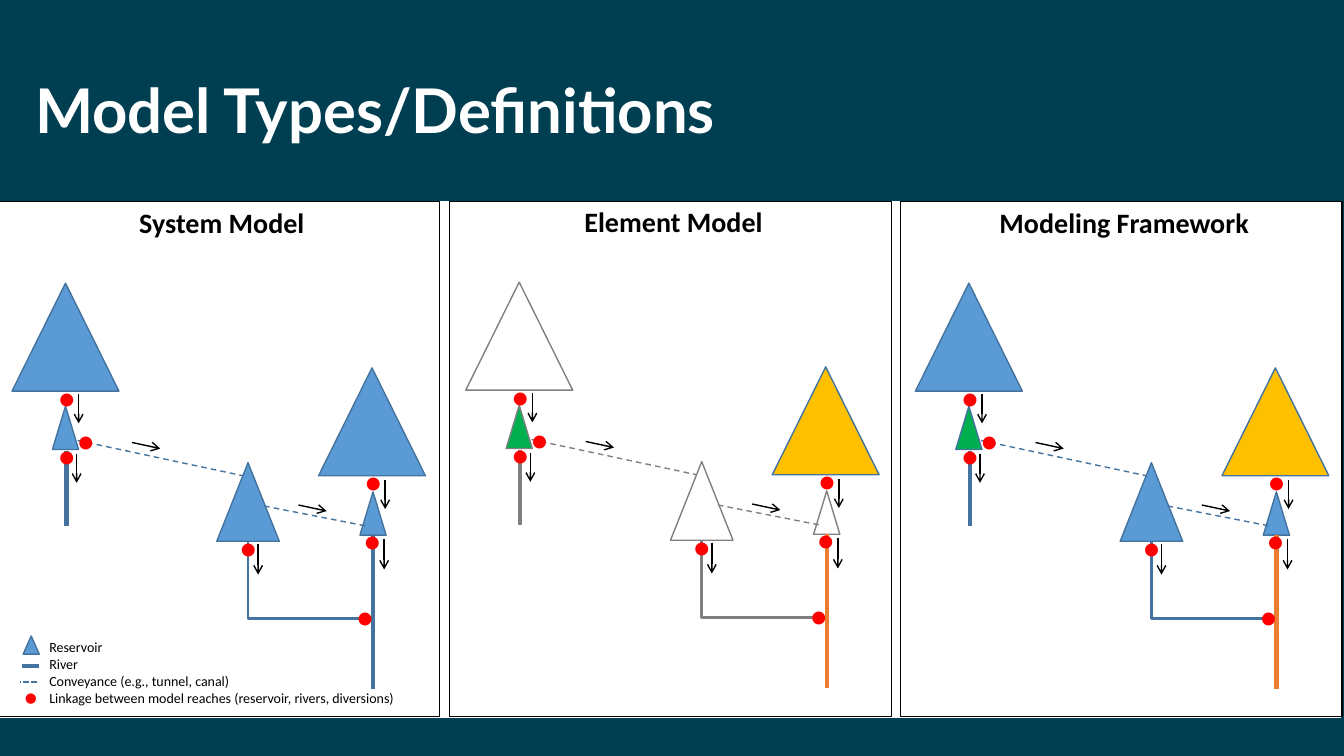
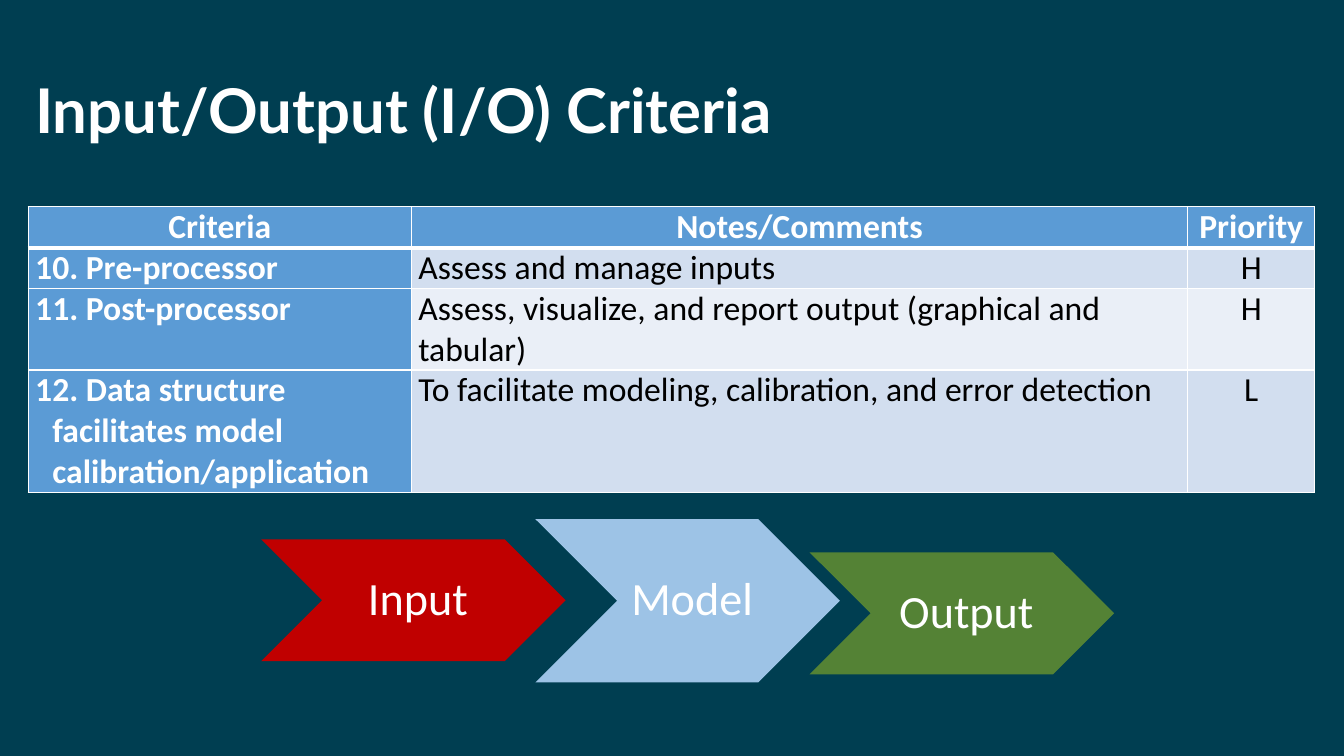
"""Build two slides on model types and input/output criteria."""
from lxml.etree import SubElement
from pptx import Presentation
from pptx.dml.color import RGBColor
from pptx.enum.dml import MSO_LINE
from pptx.enum.shapes import MSO_CONNECTOR, MSO_SHAPE
from pptx.enum.text import MSO_ANCHOR, PP_ALIGN
from pptx.oxml.ns import qn
from pptx.util import Inches, Pt

TEAL = RGBColor(0x00, 0x3E, 0x51)
WHITE = RGBColor(0xFF, 0xFF, 0xFF)
BLACK = RGBColor(0x00, 0x00, 0x00)
BLUE = RGBColor(0x5B, 0x9B, 0xD5)
DARK_BLUE = RGBColor(0x43, 0x73, 0x9E)
GRAY = RGBColor(0x80, 0x80, 0x80)
GREEN = RGBColor(0x00, 0xB0, 0x50)
GOLD = RGBColor(0xFF, 0xC0, 0x00)
ORANGE = RGBColor(0xED, 0x7D, 0x31)
RED = RGBColor(0xFF, 0x00, 0x00)
DARK_RED = RGBColor(0xC0, 0x00, 0x00)
PALE_BLUE = RGBColor(0x9D, 0xC3, 0xE6)
OLIVE = RGBColor(0x54, 0x82, 0x35)
BAND_DARK = RGBColor(0xD2, 0xDE, 0xEF)
BAND_LIGHT = RGBColor(0xEA, 0xEF, 0xF7)


def write(frame, text, size, color=BLACK, bold=False, font="Calibri",
          align=PP_ALIGN.LEFT, anchor=MSO_ANCHOR.TOP, wrap=False, spacing=None, hanging=0):
    frame.word_wrap = wrap
    frame.vertical_anchor = anchor
    frame.text = text
    for paragraph in frame.paragraphs:
        paragraph.alignment = align
        if spacing:
            paragraph.line_spacing = spacing
        if hanging:
            properties = paragraph._p.get_or_add_pPr()
            properties.set("marL", str(Inches(hanging)))
            properties.set("indent", str(-Inches(hanging)))
        paragraph.font.name = font
        paragraph.font.size = Pt(size)
        paragraph.font.bold = bold
        paragraph.font.color.rgb = color


def draw_line(shapes, x1, y1, x2, y2, color=BLACK, width=1, dash=None, arrow=False):
    connector = shapes.add_connector(
        MSO_CONNECTOR.STRAIGHT, Inches(x1), Inches(y1), Inches(x2), Inches(y2))
    connector.line.color.rgb = color
    connector.line.width = Pt(width)
    if dash:
        connector.line.dash_style = dash
    properties = connector._element.spPr
    if arrow:
        SubElement(properties.find(qn("a:ln")), qn("a:tailEnd"), type="arrow")
    SubElement(properties, qn("a:effectLst"))


prs = Presentation()
prs.slide_width, prs.slide_height = Inches(13.33), Inches(7.5)
slides = []
for heading in ["Model Types/Definitions", "Input/Output (I/O) Criteria"]:
    slide = prs.slides.add_slide(prs.slide_layouts[6])
    slide.background.fill.solid()
    slide.background.fill.fore_color.rgb = TEAL
    title = slide.shapes.add_textbox(Inches(0.25), Inches(0.4), Inches(12.8), Inches(1.45))
    write(title.text_frame, heading, 44, WHITE, bold=True, font="Lato",
          anchor=MSO_ANCHOR.MIDDLE, wrap=True, spacing=0.9)
    slides.append(slide)

shapes = slides[0].shapes
backdrop = shapes.add_shape(MSO_SHAPE.RECTANGLE, 0, Inches(2), Inches(13.3), Inches(5.12))
backdrop.shadow.inherit = False
backdrop.fill.solid()
backdrop.fill.fore_color.rgb = WHITE
backdrop.line.color.rgb = WHITE

RESERVOIRS = [(0.12, 2.81, 1.06, 1.07), (0.52, 4.03, 0.26, 0.43), (2.15, 4.59, 0.62, 0.78),
              (3.16, 3.65, 1.06, 1.07), (3.57, 4.88, 0.26, 0.43)]
CONVEYANCES = [(0.77, 4.37, 2.41, 4.72), (2.62, 5.02, 3.64, 5.22)]
FLOWS = [(0.78, 3.91, 0.78, 4.2), (0.76, 4.5, 0.76, 4.79), (3.82, 4.76, 3.82, 5.05),
         (3.81, 5.35, 3.81, 5.65), (2.56, 5.4, 2.56, 5.7), (1.31, 4.39, 1.59, 4.45),
         (2.96, 5.01, 3.24, 5.07)]
LINKAGES = [(3.52, 4.56), (0.48, 3.73), (0.48, 4.3), (0.67, 4.15),
            (2.28, 5.21), (3.51, 5.14), (3.44, 5.9)]
PANELS = [
    ("System Model", -0.02, 0, 0, [BLUE] * 5, DARK_BLUE, DARK_BLUE),
    ("Element Model", 4.46, 4.5, -0.01, [None, GREEN, None, GOLD, None], GRAY, ORANGE),
    ("Modeling Framework", 8.93, 8.96, 0, [BLUE, GREEN, BLUE, GOLD, BLUE], DARK_BLUE, ORANGE),
]
for name, left, dx, dy, fills, outline, main_river in PANELS:
    for (x, y, width, height), fill in zip(RESERVOIRS, fills):
        reservoir = shapes.add_shape(MSO_SHAPE.ISOSCELES_TRIANGLE, Inches(x + dx), Inches(y + dy),
                                     Inches(width), Inches(height))
        reservoir.shadow.inherit = False
        if fill is None:
            reservoir.fill.background()
        else:
            reservoir.fill.solid()
            reservoir.fill.fore_color.rgb = fill
        reservoir.line.color.rgb = DARK_BLUE if fill == GOLD else outline
        reservoir.line.width = Pt(1)

    draw_line(shapes, 0.66 + dx, 4.47 + dy, 0.66 + dx, 5.22 + dy, outline, 3)
    builder = shapes.build_freeform(Inches(2.46 + dx), Inches(5.37 + dy))
    builder.add_line_segments([(Inches(x + dx), Inches(6.14 + dy)) for x in (2.46, 3.7)],
                              close=False)
    tributary = builder.convert_to_shape()
    tributary.shadow.inherit = False
    tributary.fill.background()
    tributary.line.color.rgb = outline
    tributary.line.width = Pt(2)
    draw_line(shapes, 3.7 + dx, 5.31 + dy, 3.7 + dx, 6.84 + dy, main_river, 3)

    for x1, y1, x2, y2 in CONVEYANCES:
        draw_line(shapes, x1 + dx, y1 + dy, x2 + dx, y2 + dy, outline, dash=MSO_LINE.DASH)
    for x1, y1, x2, y2 in FLOWS:
        draw_line(shapes, x1 + dx, y1 + dy, x2 + dx, y2 + dy, arrow=True)

    caption = shapes.add_textbox(Inches(left + 0.03), Inches(1.99 + dy), Inches(4.38), Inches(0.44))
    write(caption.text_frame, name, 20, bold=True, align=PP_ALIGN.CENTER)
    border = shapes.add_shape(MSO_SHAPE.RECTANGLE, Inches(left), Inches(2),
                              Inches(4.38), Inches(5.11))
    border.shadow.inherit = False
    border.fill.background()
    border.line.color.rgb = BLACK
    border.line.width = Pt(1)
    for x, y in LINKAGES:
        linkage = shapes.add_textbox(Inches(x + dx), Inches(y + dy), Inches(0.37), Inches(0.44))
        write(linkage.text_frame, "●", 20, RED)

legend_dot = shapes.add_textbox(Inches(0.14), Inches(6.73), Inches(0.34), Inches(0.37))
write(legend_dot.text_frame, "●", 16, RED)
legend = shapes.add_textbox(Inches(0.39), Inches(6.29), Inches(3.69), Inches(0.77))
write(legend.text_frame, "\n".join([
    "Reservoir", "River", "Conveyance (e.g., tunnel, canal)",
    "Linkage between model reaches (reservoir, rivers, diversions)"]), 10)
legend_reservoir = shapes.add_shape(MSO_SHAPE.ISOSCELES_TRIANGLE, Inches(0.23), Inches(6.31),
                                    Inches(0.16), Inches(0.18))
legend_reservoir.shadow.inherit = False
legend_reservoir.fill.solid()
legend_reservoir.fill.fore_color.rgb = BLUE
legend_reservoir.line.color.rgb = DARK_BLUE
legend_reservoir.line.width = Pt(1)
draw_line(shapes, 0.39, 6.61, 0.22, 6.61, DARK_BLUE, 3)
draw_line(shapes, 0.37, 6.77, 0.2, 6.77, DARK_BLUE, 1.5, dash=MSO_LINE.SQUARE_DOT)

shapes = slides[1].shapes
CRITERIA = [
    ("Criteria", "Notes/Comments", "Priority"),
    ("10. Pre-processor", "Assess and manage inputs", "H"),
    ("11. Post-processor", "Assess, visualize, and report output (graphical and tabular)", "H"),
    ("12. Data structure facilitates model calibration/application",
     "To facilitate modeling, calibration, and error detection", "L"),
]
criteria = shapes.add_table(4, 3, Inches(0.28), Inches(2.05), Inches(12.76), Inches(2.84)).table
for column, width in zip(criteria.columns, [3.8, 7.7, 1.26]):
    column.width = Inches(width)
for row, height in zip(criteria.rows, [0.41, 0.4, 0.81, 1.22]):
    row.height = Inches(height)
for r, entries in enumerate(CRITERIA):
    for c, entry in enumerate(entries):
        cell = criteria.cell(r, c)
        emphasis = r == 0 or c == 0
        cell.margin_left = cell.margin_right = Inches(0.07)
        cell.margin_top = cell.margin_bottom = 0
        write(cell.text_frame, entry, 24, WHITE if emphasis else BLACK, bold=emphasis, wrap=True,
              align=PP_ALIGN.CENTER if r == 0 or c == 2 else PP_ALIGN.LEFT,
              hanging=0.17 if r and c == 0 else 0)
        cell.fill.solid()
        cell.fill.fore_color.rgb = BLUE if emphasis else BAND_DARK if r % 2 else BAND_LIGHT
        properties = cell._tc.get_or_add_tcPr()
        for position, side in enumerate(["lnL", "lnR", "lnT", "lnB"]):
            heavy = (r, side) in [(0, "lnB"), (1, "lnT")]
            edge = SubElement(properties, qn(f"a:{side}"), w=str(Pt(3 if heavy else 1)))
            SubElement(SubElement(edge, qn("a:solidFill")), qn("a:srgbClr"), val=str(WHITE))
            properties.insert(position, edge)

STAGES = [("Input", 5.35, 1.21, DARK_RED), ("Model", 5.15, 1.62, PALE_BLUE),
          ("Output", 5.48, 1.21, OLIVE)]
for i, (name, top, height, color) in enumerate(STAGES):
    stage = shapes.add_shape(MSO_SHAPE.CHEVRON, Inches(2.59 + 2.72 * i), Inches(top),
                             Inches(3.02), Inches(height))
    stage.shadow.inherit = False
    stage.fill.solid()
    stage.fill.fore_color.rgb = color
    stage.line.fill.background()
    stage.text_frame.margin_left = Inches(0.14)
    stage.text_frame.margin_right = Inches(0.05)
    write(stage.text_frame, name, 33, WHITE, align=PP_ALIGN.CENTER,
          anchor=MSO_ANCHOR.MIDDLE, spacing=0.9)

prs.save("out.pptx")
